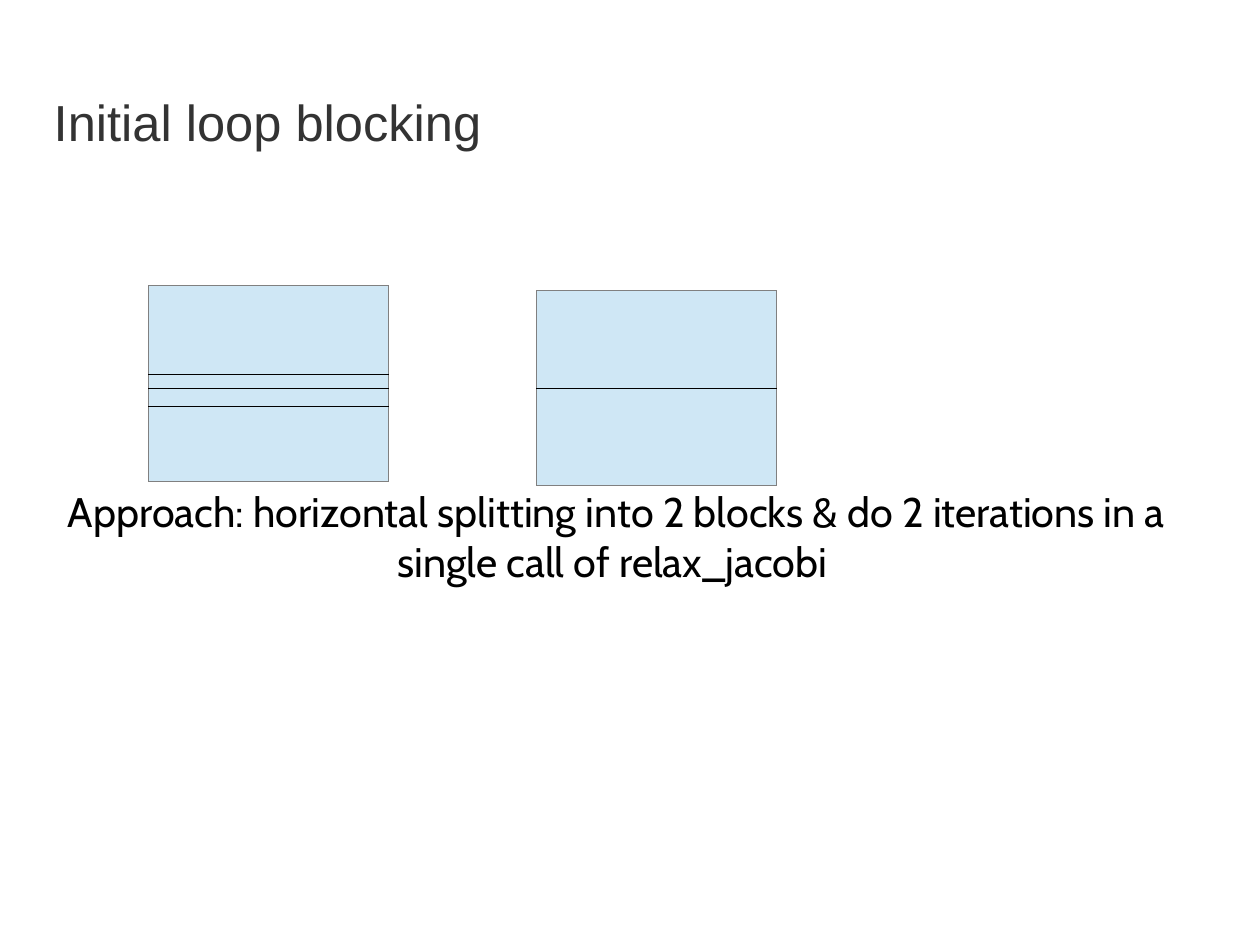
from pptx import Presentation
from pptx.dml.color import RGBColor
from pptx.enum.shapes import MSO_CONNECTOR, MSO_SHAPE
from pptx.enum.text import MSO_ANCHOR, PP_ALIGN
from pptx.util import Inches, Pt
from lxml import etree

RECT = MSO_SHAPE.RECTANGLE
LINE = MSO_CONNECTOR.STRAIGHT
MIDDLE = MSO_ANCHOR.MIDDLE
LEFT, CENTER = PP_ALIGN.LEFT, PP_ALIGN.CENTER
NS = "http://schemas.openxmlformats.org/drawingml/2006/main"


def color(code):
    return RGBColor.from_string(code)


class Board:
    fill, edge, rule = "CFE7F5", "808080", "000000"
    hair = Pt(0.01)  # a width of zero would fall back to the theme's

    def __init__(self, slide):
        self.shapes = slide.shapes

    def stroke(self, line, ink):
        line.color.rgb = color(ink)
        line.width = self.hair

    def block(self, x, y, w, h):
        box = self.shapes.add_shape(
            RECT, Inches(x), Inches(y), Inches(w), Inches(h))
        box.shadow.inherit = False
        box.fill.solid()
        box.fill.fore_color.rgb = color(self.fill)
        self.stroke(box.line, self.edge)

    def split(self, x, y, w):
        wire = self.shapes.add_connector(
            LINE, Inches(x), Inches(y), Inches(x + w), Inches(y))
        self.stroke(wire.line, self.rule)
        etree.SubElement(wire._element.spPr, f"{{{NS}}}effectLst")

    def text(self, words, x, y, w, h, size, face, ink, align=LEFT):
        frame = self.shapes.add_textbox(
            Inches(x), Inches(y), Inches(w), Inches(h)).text_frame
        frame.word_wrap = True
        frame.vertical_anchor = MIDDLE
        frame.margin_left = frame.margin_right = 0
        frame.margin_top = frame.margin_bottom = 0
        frame.text = words
        para = frame.paragraphs[0]
        para.alignment = align
        font = para.runs[0].font
        font.size = Pt(size)
        font.name = face
        font.color.rgb = color(ink)


def main():
    # Page of 28 by 21 cm
    deck = Presentation()
    deck.slide_width = Inches(28 / 2.54)
    deck.slide_height = Inches(21 / 2.54)
    board = Board(deck.slides.add_slide(deck.slide_layouts[6]))

    # Grids with the rows where each is split
    wide, high = 2.1, 1.71
    grids = [(1.3, 2.5, (3.28, 3.4, 3.56)), (4.69, 2.54, (3.4,))]
    for x, y, rows in grids:
        board.block(x, y, wide, high)
        for row in rows:
            board.split(x, row, wide)

    # Title and approach
    board.text("Initial loop blocking", 0.47, 0.71, 7.72, 0.71,
               31.9, "Arial", "333333")
    board.text("Approach: horizontal splitting into 2 blocks & do 2 iterations "
               "in a single call of relax_jacobi ", 0.55, 2.29, 9.7, 4.8,
               26, "Cabin", "000000", CENTER)

    deck.save("out.pptx")


if __name__ == "__main__":
    main()
